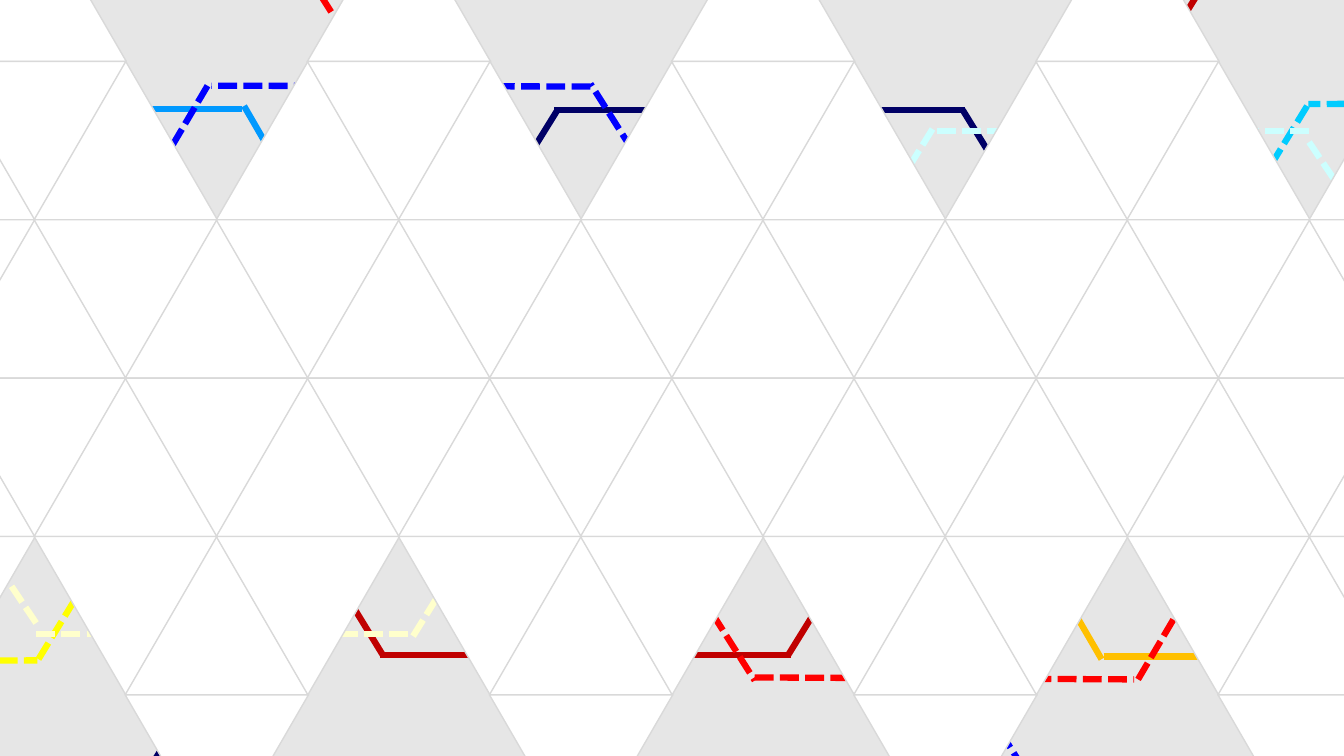
from lxml.etree import SubElement
from pptx import Presentation
from pptx.dml.color import RGBColor
from pptx.enum.dml import MSO_LINE
from pptx.enum.shapes import MSO_CONNECTOR, MSO_SHAPE
from pptx.oxml.ns import qn
from pptx.util import Cm, Pt

COLOURS = {
    "background": "E6E6E6", "tile": "FFFFFF", "edge": "D9D9D9",
    "azure": "0099FF", "navy": "000066", "sky": "00CCFF", "blue": "0000FF",
    "ice": "CCFFFF", "amber": "FFC000", "crimson": "C00000",
    "yellow": "FFFF00", "red": "FF0000", "cream": "FFFFCC",
}

SOLID_ROUTES = {
    "azure": [(6.1, 2.74, -11.91, 2.74), (16.43, 20.42, 6.15, 2.67)],
    "navy": [(35.28, 20.7, 24.26, 2.77), (24.33, 2.77, 13.97, 2.77), (14.05, 2.77, 3.38, 19.99)],
}
DASHED_ROUTES = {
    "sky": [(45.36, 2.59, 32.97, 2.62), (32.94, 2.67, 21.72, 21.01)],
    "blue": [(26.14, 19.91, 14.88, 2.11), (14.88, 2.18, 5.33, 2.16), (5.23, 2.16, -5.61, 20.55)],
    "ice": [(32.99, 3.3, 23.5, 3.3), (23.5, 3.25, 12.78, 20.55), (32.99, 3.58, 39.19, 12.83)],
}
SOLID_WARM_ROUTES = {
    "amber": [(27.81, 16.54, 45.82, 16.54), (17.45, -1.14, 27.76, 16.61)],
    "crimson": [(-1.37, -1.45, 9.65, 16.51), (9.58, 16.51, 19.94, 16.51), (19.86, 16.51, 30.53, -0.71)],
}
DASHED_WARM_ROUTES = {
    "yellow": [(-11.48, 16.69, 0.94, 16.64), (0.97, 16.61, 12.19, -1.73)],
    "red": [(7.75, -0.64, 19.02, 17.15), (19.02, 17.07, 28.58, 17.12), (28.68, 17.12, 39.52, -1.27)],
    "cream": [(0.91, 15.98, 10.41, 15.98), (10.41, 16.03, 21.13, -1.27), (0.91, 15.7, -5.28, 6.45)],
}

TILE_LEFT, TILE_TOP = -3.73, -2.44
TILE_WIDTH, TILE_HEIGHT = 4.62, 3.99
PERIOD = 9.18
SLOT_COUNT = 17
FILLED_SLOTS = [{1}, {0, 1, 2}, {0, 1, 2, 3}, {0, 1, 2, 3}, {0, 2, 3}, {3}]


class PatternSlide:
    def __init__(self, presentation):
        self.slide = presentation.slides.add_slide(presentation.slide_layouts[6])
        self.route_width = Pt(4.5)
        self.edge_width = Pt(1)

    def colour(self, name):
        return RGBColor.from_string(COLOURS[name])

    def background(self, name):
        fill = self.slide.background.fill
        fill.solid()
        fill.fore_color.rgb = self.colour(name)

    def group(self):
        return self.slide.shapes.add_group_shape()

    def route(self, group, ends, name, dashed):
        connector = group.shapes.add_connector(MSO_CONNECTOR.STRAIGHT, *map(Cm, ends))
        connector.line.color.rgb = self.colour(name)
        connector.line.width = self.route_width
        if dashed:
            connector.line.dash_style = MSO_LINE.SQUARE_DOT
        SubElement(connector._element.spPr, qn("a:effectLst"))

    def triangle(self, group, left, top, points_up):
        shape = group.shapes.add_shape(
            MSO_SHAPE.ISOSCELES_TRIANGLE, Cm(left), Cm(top), Cm(TILE_WIDTH), Cm(TILE_HEIGHT))
        shape.shadow.inherit = False
        shape.fill.solid()
        shape.fill.fore_color.rgb = self.colour("tile")
        shape.line.color.rgb = self.colour("edge")
        shape.line.width = self.edge_width
        if not points_up:
            shape._element.spPr.find(qn("a:xfrm")).set("flipV", "1")


def main():
    presentation = Presentation()
    presentation.slide_width = Cm(33.87)
    presentation.slide_height = Cm(19.05)
    pattern = PatternSlide(presentation)
    pattern.background("background")

    route_group = pattern.group()
    for routes, dashed in [(SOLID_ROUTES, False), (DASHED_ROUTES, True),
                           (SOLID_WARM_ROUTES, False), (DASHED_WARM_ROUTES, True)]:
        for name, segments in routes.items():
            for ends in segments:
                pattern.route(route_group, ends, name, dashed)

    tile_group = pattern.group()
    for row, filled in enumerate(FILLED_SLOTS):
        for slot in range(SLOT_COUNT):
            if slot % 4 in filled:
                pattern.triangle(tile_group, TILE_LEFT + slot * PERIOD / 4,
                                 TILE_TOP + row * TILE_HEIGHT, (row + slot) % 2 == 1)

    presentation.save("out.pptx")


if __name__ == "__main__":
    main()
